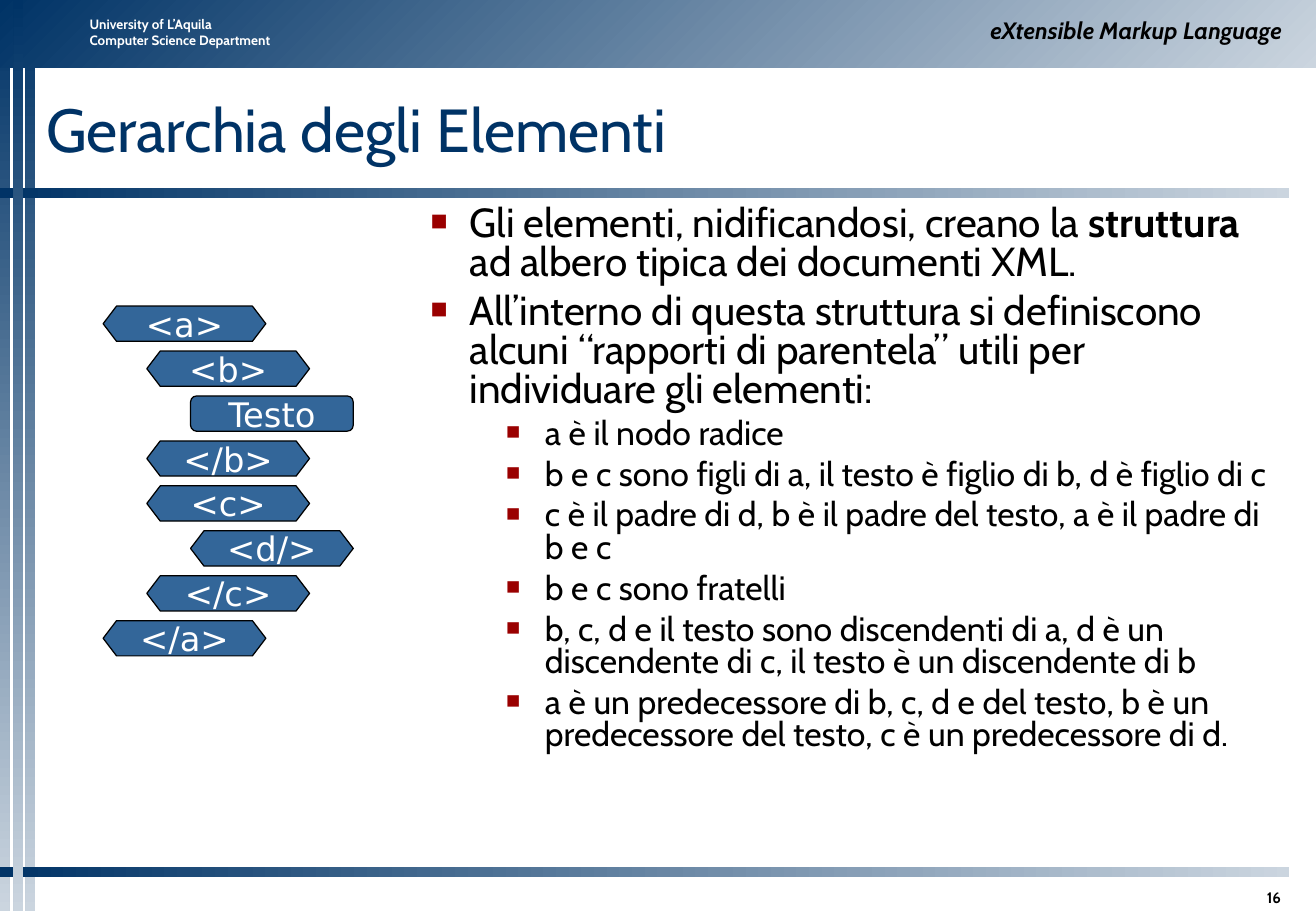
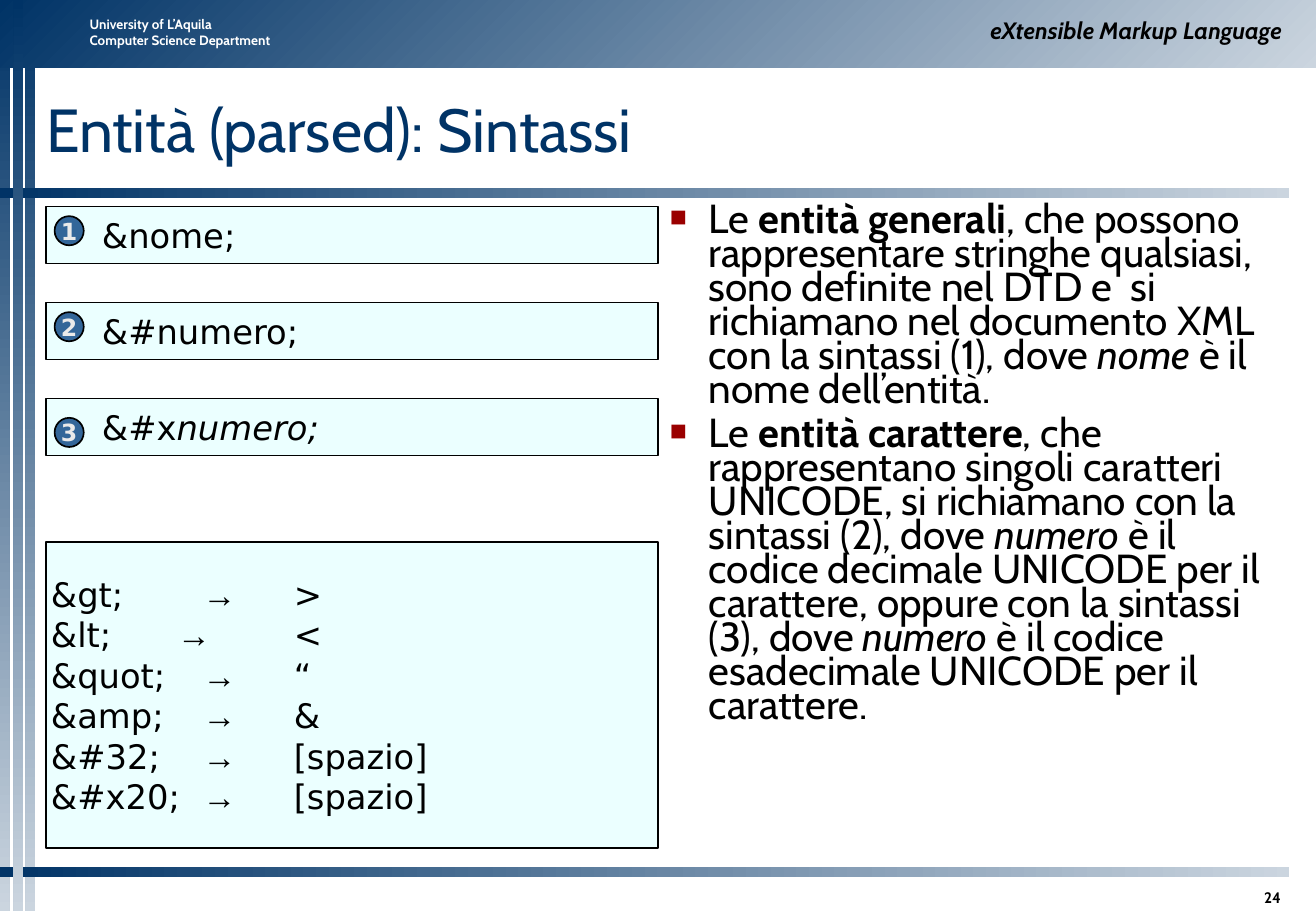
from pptx import Presentation
from pptx.dml.color import RGBColor
from pptx.enum.shapes import MSO_SHAPE
from pptx.enum.text import MSO_ANCHOR, PP_ALIGN
from pptx.oxml.ns import qn
from pptx.util import Emu, Pt
from lxml.etree import SubElement

PX = 9144
WIDTH, HEIGHT = 1084, 750
COLORS = {
    "navy": "003366", "mist": "CBD5DF", "steel": "336699", "ice": "EBFFFF",
    "bullet": "9A0000", "ink": "000000", "white": "FFFFFF", "badge": "EAEAEA",
}
BODY_FONT, CODE_FONT, ARROW_FONT = "Cabin", "DejaVu Sans", "Arial"

DEPARTMENT = ["University of L’Aquila", "Computer Science Department"]
COURSE = "eXtensible Markup Language"
BANDS = [
    ((0, 0, 8, HEIGHT), 270),
    ((21, 0, 8, HEIGHT), 270),
    ((0, 0, WIDTH, 56), 315),
    ((0, 155, 1062, 8), 0),
    ((0, 714, 1062, 8), 0),
    ((11, 0, 8, HEIGHT), 270),
]

HIERARCHY = {
    "title": "Gerarchia degli Elementi",
    "number": "16",
    "body_box": (345, 170, 717, 543),
    "line_spacing": 0.8,
    "body": [
        (0, [("Gli elementi, nidificandosi, creano la ", ""), ("struttura", "b"),
             (" ad albero tipica dei documenti XML.", "")]),
        (0, [("All’interno di questa struttura si definiscono alcuni “rapporti di "
              "parentela” utili per individuare gli elementi:", "")]),
        (1, [("a è il nodo radice", "")]),
        (1, [("b e c sono figli di a, il testo è figlio di b, d è figlio di c", "")]),
        (1, [("c è il padre di d, b è il padre del testo, a è il padre di b e c", "")]),
        (1, [("b e c sono fratelli", "")]),
        (1, [("b, c, d e il testo sono discendenti di a, d è un discendente di c, "
              "il testo è un discendente di b", "")]),
        (1, [("a è un predecessore di b, c, d e del testo, b è un predecessore del "
              "testo, c è un predecessore di d.", "")]),
    ],
}
TREE = [("<a>", 0), ("<b>", 1), ("Testo", 2), ("</b>", 1),
        ("<c>", 1), ("<d/>", 2), ("</c>", 1), ("</a>", 0)]

ENTITIES = {
    "title": "Entità (parsed): Sintassi",
    "number": "24",
    "body_box": (542, 170, 521, 542),
    "line_spacing": 0.7,
    "body": [
        (0, [("Le ", ""), ("entità generali", "b"),
             (", che possono rappresentare stringhe qualsiasi, sono definite nel DTD e  si "
              "richiamano nel documento XML con la sintassi (1), dove ", ""),
             ("nome", "i"), (" è il nome dell’entità.", "")]),
        (0, [("Le ", ""), ("entità carattere", "b"),
             (", che rappresentano singoli caratteri UNICODE, si richiamano con la "
              "sintassi (2), dove ", ""), ("numero", "i"),
             (" è il codice decimale UNICODE per il carattere, oppure con la "
              "sintassi (3), dove ", ""), ("numero", "i"),
             (" è il codice esadecimale UNICODE per il carattere.", "")]),
    ],
}
SYNTAXES = [
    ([("&nome;", "")], 8),
    ([("&#numero;", "")], 8),
    ([("&#x", ""), ("numero;", "i")], 16),
]
REFERENCES = [("&gt;", 125, ">"), ("&lt;", 104, "<"), ("&quot;", 125, "“"),
              ("&amp;", 125, "&"), ("&#32;", 125, "[spazio]"), ("&#x20;", 125, "[spazio]")]


def px(*lengths):
    return [Emu(length * PX) for length in lengths]


def rgb(name):
    return RGBColor.from_string(COLORS[name])


def add_run(paragraph, text, size, color="ink", font=BODY_FONT, style=""):
    run = paragraph.add_run()
    run.text = text
    run.font.name = font
    run.font.size = Pt(size)
    run.font.color.rgb = rgb(color)
    run.font.bold = "b" in style
    run.font.italic = "i" in style


def set_frame(shape, insets, anchor=MSO_ANCHOR.TOP, wrap=True):
    frame = shape.text_frame
    frame.word_wrap = wrap
    frame.vertical_anchor = anchor
    (frame.margin_left, frame.margin_top,
     frame.margin_right, frame.margin_bottom) = px(*insets)
    return frame


def add_paragraph(frame, index, align=PP_ALIGN.LEFT):
    paragraph = frame.add_paragraph() if index else frame.paragraphs[0]
    paragraph.alignment = align
    return paragraph


def add_label(slide, box, lines, size, color="ink", style="", insets=(10, 5, 10, 5),
              anchor=MSO_ANCHOR.TOP, align=PP_ALIGN.LEFT):
    frame = set_frame(slide.shapes.add_textbox(*px(*box)), insets, anchor)
    for index, line in enumerate(lines):
        add_run(add_paragraph(frame, index, align), line, size, color, style=style)


def add_figure(slide, preset, box, fill, line_width):
    figure = slide.shapes.add_shape(preset, *px(*box))
    figure.shadow.inherit = False
    figure.fill.solid()
    figure.fill.fore_color.rgb = rgb(fill)
    figure.line.color.rgb = rgb("ink")
    figure.line.width = Pt(line_width)
    return figure


def add_band(slide, box, angle):
    band = slide.shapes.add_shape(MSO_SHAPE.RECTANGLE, *px(*box))
    band.shadow.inherit = False
    band.line.fill.background()
    band.fill.gradient()
    band.fill.gradient_angle = angle
    for stop, color in zip(band.fill.gradient_stops, ("navy", "mist")):
        stop.color.rgb = rgb(color)


def set_bullet(paragraph, level):
    properties = paragraph._p.get_or_add_pPr()
    left, hanging = px((32, 94)[level], 32)
    properties.set("marL", str(left))
    properties.set("indent", str(-hanging))
    color = SubElement(properties, qn("a:buClr"))
    SubElement(color, qn("a:srgbClr"), val=COLORS["bullet"])
    SubElement(properties, qn("a:buSzPct"), val="70000")
    SubElement(properties, qn("a:buFont"), typeface=ARROW_FONT)
    SubElement(properties, qn("a:buChar"), char="■")


def set_tabs(paragraph, *stops):
    tabs = SubElement(paragraph._p.get_or_add_pPr(), qn("a:tabLst"))
    for stop in px(*stops):
        SubElement(tabs, qn("a:tab"), pos=str(stop), algn="l")


def add_body(slide, content):
    frame = set_frame(slide.shapes.add_textbox(*px(*content["body_box"])), (10, 0, 10, 0))
    for index, (level, runs) in enumerate(content["body"]):
        paragraph = add_paragraph(frame, index)
        paragraph.level = level
        paragraph.line_spacing = content["line_spacing"]
        paragraph.space_before = Pt((6, 5)[level])
        set_bullet(paragraph, level)
        for text, style in runs:
            add_run(paragraph, text, (24, 20)[level], style=style)


def add_content_slide(deck, content):
    slide = deck.slides.add_slide(deck.slide_layouts[6])
    for box, angle in BANDS:
        add_band(slide, box, angle)
    add_label(slide, (64, 8, 201, 37), DEPARTMENT, 8, "white", "b")
    add_label(slide, (542, 8, 524, 33), [COURSE], 14, style="bi",
              anchor=MSO_ANCHOR.BOTTOM, align=PP_ALIGN.RIGHT)
    add_label(slide, (38, 58, 1027, 96), [content["title"]], 36, "navy",
              insets=(0, 0, 0, 0), anchor=MSO_ANCHOR.MIDDLE)
    add_body(slide, content)
    add_label(slide, (947, 721, 118, 25), [content["number"]], 9, style="b",
              insets=(10, 5, 10, 0), anchor=MSO_ANCHOR.BOTTOM, align=PP_ALIGN.RIGHT)
    return slide


def add_tree(slide):
    for row, (tag, depth) in enumerate(TREE):
        is_tag = tag.startswith("<")
        preset = MSO_SHAPE.HEXAGON if is_tag else MSO_SHAPE.ROUNDED_RECTANGLE
        node = add_figure(slide, preset, (85 + 36 * depth, 252 + 37 * row, 134, 29),
                          "steel", 0.75)
        node.adjustments[0] = 0.38 if is_tag else 0.17
        frame = set_frame(node, (10, 5, 10, 5), MSO_ANCHOR.MIDDLE, wrap=False)
        add_run(add_paragraph(frame, 0, PP_ALIGN.CENTER), tag, 20, "white", CODE_FONT)


def add_code_box(slide, top, height):
    panel = add_figure(slide, MSO_SHAPE.RECTANGLE, (38, top, 504, height), "ice", 1)
    return set_frame(panel, (4, 4, 4, 4), MSO_ANCHOR.MIDDLE)


def add_syntaxes(slide):
    for row, (runs, badge_offset) in enumerate(SYNTAXES):
        top = 170 + 79 * row
        syntax = add_paragraph(add_code_box(slide, top, 47), 0)
        set_tabs(syntax, 42)
        add_run(syntax, "\t", 20, font=CODE_FONT)
        for text, style in runs:
            add_run(syntax, text, 20, font=CODE_FONT, style=style)
        badge = add_figure(slide, MSO_SHAPE.OVAL, (45, top + badge_offset, 24, 24), "steel", 1)
        frame = set_frame(badge, (0, 0, 0, 0), MSO_ANCHOR.MIDDLE, wrap=False)
        add_run(add_paragraph(frame, 0, PP_ALIGN.CENTER), str(row + 1), 14, "badge",
                CODE_FONT, "b")


def add_references(slide):
    frame = add_code_box(slide, 446, 252)
    for row, (reference, arrow_stop, symbol) in enumerate(REFERENCES):
        paragraph = add_paragraph(frame, row)
        set_tabs(paragraph, arrow_stop, 200)
        add_run(paragraph, reference + "\t", 20, font=CODE_FONT)
        add_run(paragraph, "→\t", 20, font=ARROW_FONT)
        add_run(paragraph, symbol, 20, font=CODE_FONT)


def main():
    deck = Presentation()
    deck.slide_width, deck.slide_height = px(WIDTH, HEIGHT)
    add_tree(add_content_slide(deck, HIERARCHY))
    entities = add_content_slide(deck, ENTITIES)
    add_syntaxes(entities)
    add_references(entities)
    deck.save("out.pptx")


if __name__ == "__main__":
    main()
